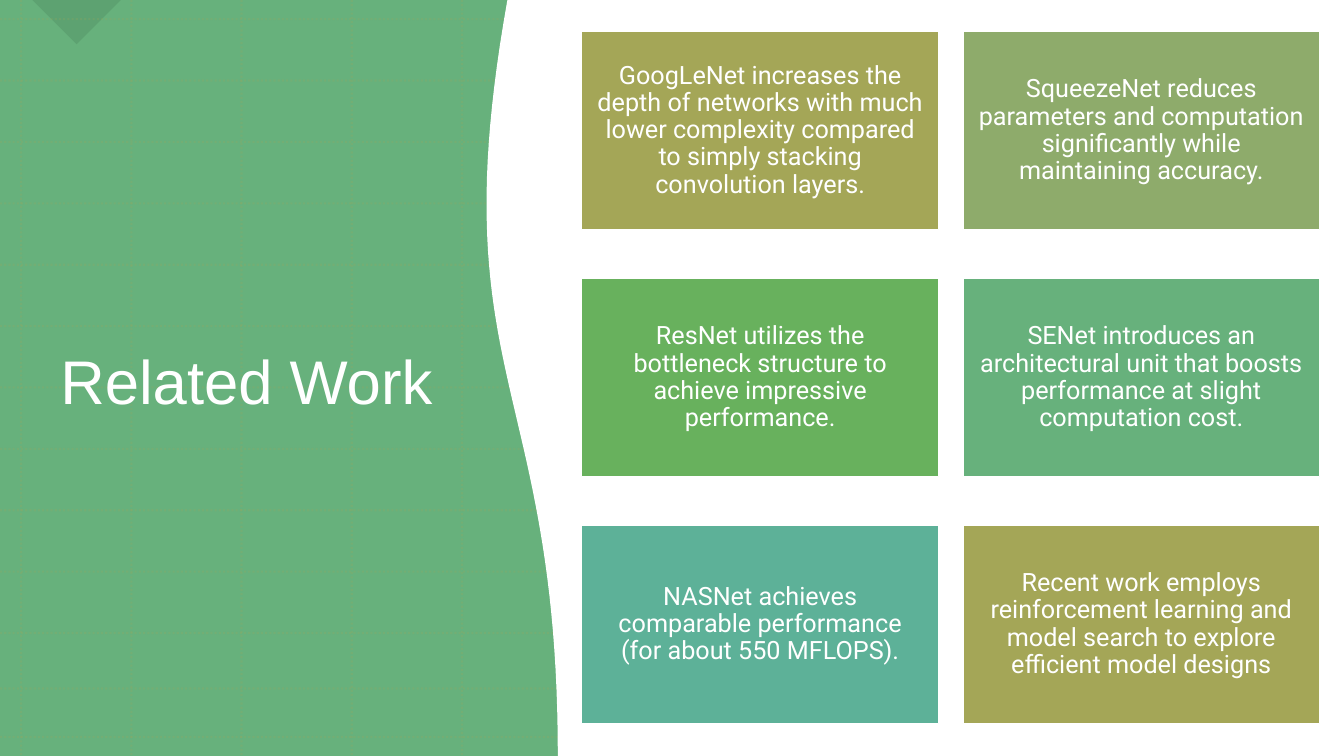
from lxml.etree import SubElement
from pptx import Presentation
from pptx.dml.color import RGBColor
from pptx.enum.dml import MSO_LINE
from pptx.enum.shapes import MSO_CONNECTOR, MSO_SHAPE
from pptx.enum.text import MSO_ANCHOR, PP_ALIGN
from pptx.oxml.ns import qn
from pptx.util import Inches, Pt

WIDTH, HEIGHT = 13.33, 7.5
COLORS = {
    "white": "FFFFFF",
    "olive": "A4A657",
    "sage": "8EAB6B",
    "leaf": "68B15D",
    "green": "67B17C",
    "teal": "5DB198",
    "shade": "2F5D3C",
}
CARDS = [
    ("olive", "GoogLeNet increases the depth of networks with much lower "
              "complexity compared to simply stacking convolution layers."),
    ("sage", "SqueezeNet reduces parameters and computation significantly "
             "while maintaining accuracy."),
    ("leaf", "ResNet utilizes the bottleneck structure to achieve impressive "
             "performance."),
    ("green", "SENet introduces an architectural unit that boosts performance "
              "at slight computation cost."),
    ("teal", "NASNet achieves comparable performance (for about 550 MFLOPS)."),
    ("olive", "Recent work employs reinforcement learning and model search to "
              "explore efficient model designs"),
]


def rgb(name):
    return RGBColor.from_string(COLORS[name])


def set_opacity(shape, percent):
    for color in shape.element.spPr.iter(qn("a:srgbClr")):
        SubElement(color, qn("a:alpha"), val=str(percent * 1000))


def style_shape(shape, fill, line=None):
    shape.shadow.inherit = False
    shape.fill.solid()
    shape.fill.fore_color.rgb = rgb(fill)
    if line:
        shape.line.color.rgb = rgb(line)
        shape.line.width = Pt(1)
    else:
        shape.line.fill.background()


def add_block(slide, box, fill, line=None, kind=MSO_SHAPE.RECTANGLE):
    shape = slide.shapes.add_shape(kind, *map(Inches, box))
    style_shape(shape, fill, line)
    return shape


def write_text(shape, text, *, size, font, align=PP_ALIGN.LEFT,
               margins=(0.1, 0.05)):
    frame = shape.text_frame
    frame.word_wrap = True
    frame.vertical_anchor = MSO_ANCHOR.MIDDLE
    frame.margin_left = frame.margin_right = Inches(margins[0])
    frame.margin_top = frame.margin_bottom = Inches(margins[1])
    paragraph = frame.paragraphs[0]
    paragraph.alignment = align
    paragraph.line_spacing = 0.9
    run = paragraph.add_run()
    run.text = text
    run.font.size = Pt(size)
    run.font.name = font
    run.font.color.rgb = rgb("white")


def add_grid_line(slide, start, end):
    line = slide.shapes.add_connector(
        MSO_CONNECTOR.STRAIGHT, *map(Inches, (*start, *end)))
    line.line.color.rgb = rgb("olive")
    line.line.width = Pt(1.5)
    line.line.dash_style = MSO_LINE.ROUND_DOT
    set_opacity(line, 20)
    SubElement(line.element.spPr, qn("a:effectLst"))


def add_backdrop(slide, box):
    """Green ground with a faint dotted grid and a corner notch."""
    left, top, width, height = box
    add_block(slide, box, "green")
    notch = add_block(slide, (left + 0.45, top - 0.31, 0.62, 0.62), "shade",
                      kind=MSO_SHAPE.RIGHT_TRIANGLE)
    notch.rotation = 315
    set_opacity(notch, 17)
    for column in range(5):
        x = left + 0.21 + 1.093 * column
        add_grid_line(slide, (x, top), (x, top + height))
    rows = [0.19 + 0.609 * row for row in range(11)] + [6.83, 7.31]
    for row in rows:
        add_grid_line(slide, (left, top + row), (left + width, top + row))


def curve_points(start, control_1, control_2, end, steps=48):
    """Points along a cubic Bezier curve."""
    for step in range(steps + 1):
        t = step / steps
        weights = ((1 - t) ** 3, 3 * t * (1 - t) ** 2, 3 * t * t * (1 - t), t ** 3)
        yield tuple(sum(weight * value for weight, value in zip(weights, values))
                    for values in zip(start, control_1, control_2, end))


def add_wave(slide, box):
    """White area whose left edge sways within the box."""
    left, top, width, height = box
    right, bottom = left + width, top + height
    edge = curve_points((left + 1.17, bottom), (left + 1.17, top + 3.76),
                        (left, top + 3.74), (left + 0.67, top))
    outline = [(Inches(x), Inches(y))
               for x, y in [(right, top), (right, bottom), *edge]]
    builder = slide.shapes.build_freeform(*outline[0])
    builder.add_line_segments(outline[1:], close=True)
    style_shape(builder.convert_to_shape(), "white", "white")


def add_title(slide, box):
    title = slide.shapes.add_textbox(*map(Inches, box))
    write_text(title, "Related Work", size=44, font="Arial")


def add_cards(slide, box, columns=2, card_width=3.54, card_height=1.97):
    left, top, width, height = box
    rows = len(CARDS) // columns
    column_step = (width - card_width) / (columns - 1)
    row_step = (height - card_height) / (rows - 1)
    for index, (fill, text) in enumerate(CARDS):
        row, column = divmod(index, columns)
        card = add_block(slide, (left + column * column_step, top + row * row_step,
                                 card_width, card_height), fill, "white")
        write_text(card, text, size=18, font="Roboto", align=PP_ALIGN.CENTER,
                   margins=(0.14, 0.15))


def main():
    presentation = Presentation()
    presentation.slide_width = Inches(WIDTH)
    presentation.slide_height = Inches(HEIGHT)
    slide = presentation.slides.add_slide(presentation.slide_layouts[6])
    add_backdrop(slide, (0, 0, WIDTH, HEIGHT))
    add_title(slide, (0.5, 0.79, 4.08, 6.05))
    add_wave(slide, (4.37, 0, WIDTH - 4.37, HEIGHT))
    add_cards(slide, (5.77, 0.31, 7.32, 6.87))
    presentation.save("out.pptx")


if __name__ == "__main__":
    main()
